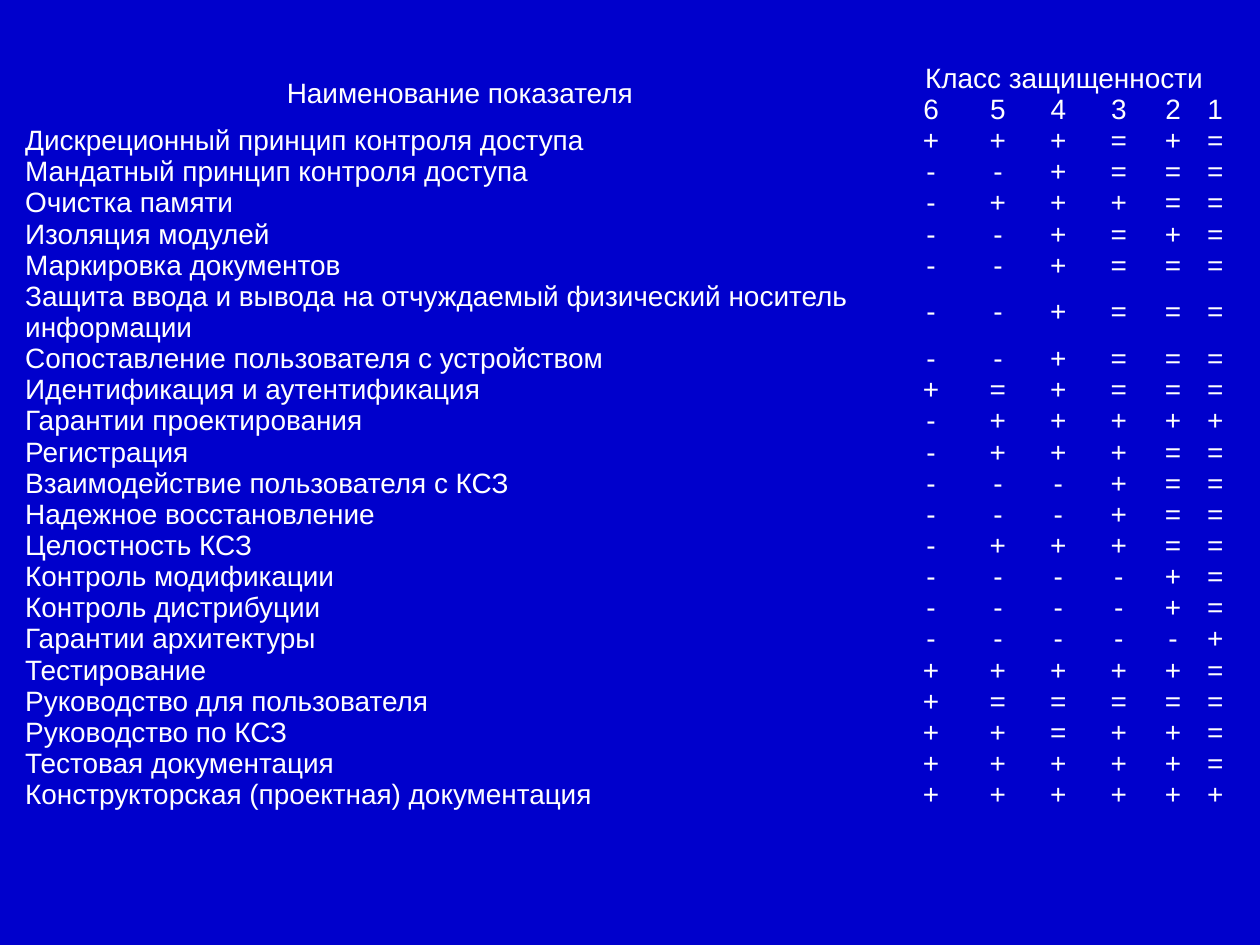
from pptx import Presentation
from pptx.dml.color import RGBColor
from pptx.enum.text import MSO_ANCHOR, PP_ALIGN
from pptx.oxml.ns import qn
from pptx.util import Inches, Pt

COLORS = {"background": "0000CC", "text": "FFFFFF"}
PLAIN_STYLE = "{2D5ABB26-0587-4C30-8999-92F81FD0307C}"  # no style, no grid

CLASSES = "654321"
CLASS_WIDTHS = [0.58, 0.48, 0.48, 0.48, 0.38, 0.29]
NAME_WIDTH = 6.9
LINE_HEIGHT = 0.19
TWO_LINE_NAME = "Защита ввода и вывода на отчуждаемый физический носитель информации"

# One sign per protection class, from class 6 to class 1
INDICATORS = [
    ("Дискреционный принцип контроля доступа", "+++=+="),
    ("Мандатный принцип контроля доступа", "--+==="),
    ("Очистка памяти", "-+++=="),
    ("Изоляция модулей", "--+=+="),
    ("Маркировка документов", "--+==="),
    (TWO_LINE_NAME, "--+==="),
    ("Сопоставление пользователя с устройством", "--+==="),
    ("Идентификация и аутентификация", "+=+==="),
    ("Гарантии проектирования", "-+++++"),
    ("Регистрация", "-+++=="),
    ("Взаимодействие пользователя с КСЗ", "---+=="),
    ("Надежное восстановление", "---+=="),
    ("Целостность КСЗ", "-+++=="),
    ("Контроль модификации", "----+="),
    ("Контроль дистрибуции", "----+="),
    ("Гарантии архитектуры", "-----+"),
    ("Тестирование", "+++++="),
    ("Руководство для пользователя", "+====="),
    ("Руководство по КСЗ", "++=++="),
    ("Тестовая документация", "+++++="),
    ("Конструкторская (проектная) документация", "++++++"),
]


class SlideBuilder:
    font_name = "Arial"
    font_size = Pt(16)

    def __init__(self, width, height):
        self.deck = Presentation()
        self.deck.slide_width = Inches(width)
        self.deck.slide_height = Inches(height)
        self.slide = self.deck.slides.add_slide(self.deck.slide_layouts[6])
        fill = self.slide.background.fill
        fill.solid()
        fill.fore_color.rgb = RGBColor.from_string(COLORS["background"])

    def across(self, share):
        return round(self.deck.slide_width * share)

    def down(self, share):
        return round(self.deck.slide_height * share)

    def table(self, left, top, widths, heights):
        """Add an unstyled table; left and top are shares of the slide."""
        frame = self.slide.shapes.add_table(
            len(heights), len(widths), self.across(left), self.down(top),
            Inches(sum(widths)), Inches(sum(heights)))
        grid = frame.table
        grid.first_row = grid.horz_banding = False
        style_id = frame._element.find(".//" + qn("a:tableStyleId"))
        style_id.text = PLAIN_STYLE
        for column, width in zip(grid.columns, widths):
            column.width = Inches(width)
        for row, height in zip(grid.rows, heights):
            row.height = Inches(height)
        return grid

    def cell(self, cell, text, align):
        cell.fill.background()
        cell.margin_left = cell.margin_right = 0
        cell.margin_top = cell.margin_bottom = 0
        cell.vertical_anchor = MSO_ANCHOR.MIDDLE
        cell.text = text
        paragraph = cell.text_frame.paragraphs[0]
        paragraph.alignment = align
        font = paragraph.font
        font.name, font.size = self.font_name, self.font_size
        font.color.rgb = RGBColor.from_string(COLORS["text"])


def main():
    builder = SlideBuilder(10, 7.5)
    no_class_text = [""] * (len(CLASSES) - 1)
    header = [
        ["Наименование показателя", "Класс защищенности", *no_class_text],
        ["", *CLASSES],
    ]
    rows = header + [[name, *signs] for name, signs in INDICATORS]
    heights = [0.37 if row[0] == TWO_LINE_NAME else LINE_HEIGHT for row in rows]
    requirements = builder.table(0.02, 1 / 15, [NAME_WIDTH, *CLASS_WIDTHS], heights)

    for r, row in enumerate(rows):
        for c, text in enumerate(row):
            is_name = c == 0 and r >= len(header)
            align = PP_ALIGN.LEFT if is_name else PP_ALIGN.CENTER
            builder.cell(requirements.cell(r, c), text, align)

    requirements.cell(0, 0).merge(requirements.cell(1, 0))
    requirements.cell(0, 1).merge(requirements.cell(0, len(CLASSES)))
    builder.deck.save("out.pptx")


if __name__ == "__main__":
    main()
